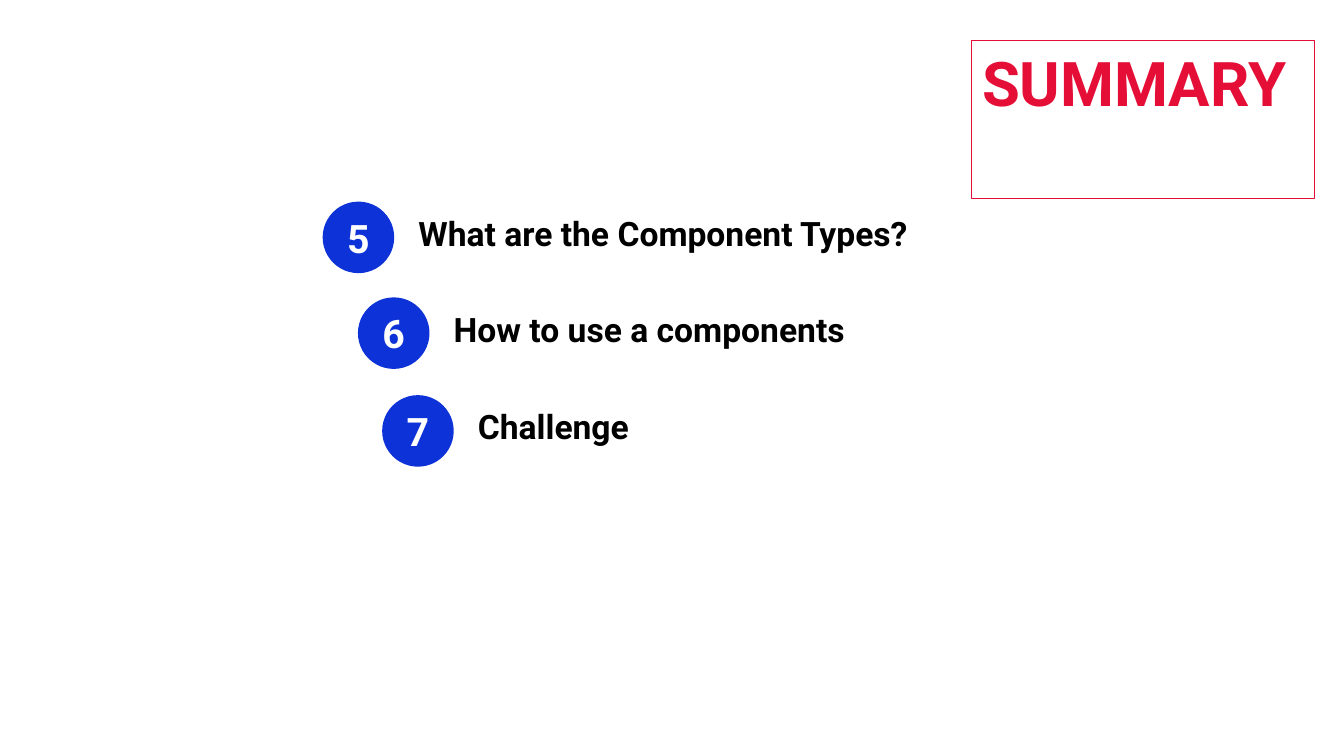
from pptx import Presentation
from pptx.dml.color import RGBColor
from pptx.enum.shapes import MSO_SHAPE
from pptx.enum.text import MSO_ANCHOR, MSO_AUTO_SIZE, PP_ALIGN
from pptx.util import Inches, Pt

FONT = "Roboto"
COLORS = {"red": "E50E37", "blue": "0D32D8", "black": "000000", "white": "FFFFFF"}
# Number, label, left and top of each circle
ITEMS = [
    ("5", "What are the Component Types?", 3.2, 2.0),
    ("6", "How to use a components", 3.55, 2.95),
    ("7", "Challenge", 3.79, 3.92),
]
DOT = 0.71


def color(name):
    return RGBColor.from_string(COLORS[name])


def write(shape, text, size, tint, align=PP_ALIGN.LEFT, anchor=MSO_ANCHOR.TOP,
          pad=(0.13, 0.13)):
    frame = shape.text_frame
    frame.word_wrap = True
    frame.vertical_anchor = anchor
    frame.margin_left = frame.margin_right = Inches(pad[0])
    frame.margin_top = frame.margin_bottom = Inches(pad[1])
    para = frame.paragraphs[0]
    para.alignment = align
    run = para.add_run()
    run.text = text
    run.font.name = FONT
    run.font.size = Pt(size)
    run.font.bold = True
    run.font.color.rgb = color(tint)


def add_title(slide, text):
    title = slide.shapes.title
    title.left, title.top = Inches(9.64), Inches(0.4)
    title.width, title.height = Inches(3.4), Inches(0.84)
    title.line.color.rgb = color("red")
    title.line.width = Pt(0.75)
    write(title, text, 44, "red", pad=(0.1, 0.05))
    title.text_frame.auto_size = MSO_AUTO_SIZE.SHAPE_TO_FIT_TEXT


def add_item(slide, number, text, left, top):
    group = slide.shapes.add_group_shape()
    group.name = f"Item {number}"

    # Label to the right of the circle
    label = group.shapes.add_textbox(
        Inches(left + 0.82), Inches(top - 0.02), Inches(6.23), Inches(0.75))
    write(label, text, 24, "black")

    # Numbered circle
    dot = group.shapes.add_shape(
        MSO_SHAPE.OVAL, Inches(left), Inches(top), Inches(DOT), Inches(DOT))
    dot.shadow.inherit = False
    dot.fill.solid()
    dot.fill.fore_color.rgb = color("blue")
    dot.line.fill.background()
    write(dot, number, 28, "white", align=PP_ALIGN.CENTER, anchor=MSO_ANCHOR.MIDDLE)


def main():
    deck = Presentation()
    deck.slide_width, deck.slide_height = Inches(13.33), Inches(7.5)
    slide = deck.slides.add_slide(deck.slide_layouts.get_by_name("Title Only"))
    slide.background.fill.solid()
    slide.background.fill.fore_color.rgb = color("white")

    add_title(slide, "SUMMARY")
    for item in ITEMS:
        add_item(slide, *item)

    deck.save("out.pptx")


if __name__ == "__main__":
    main()
